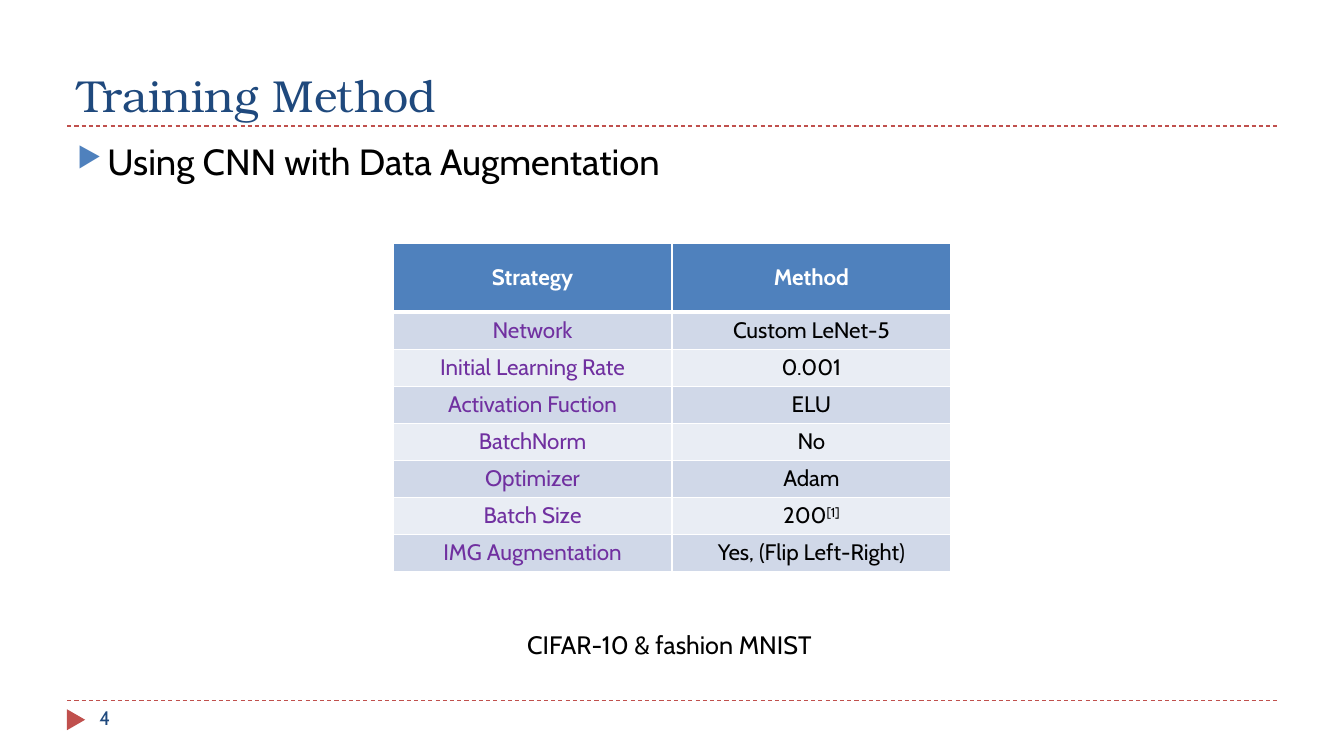
from lxml.etree import SubElement
from pptx import Presentation
from pptx.dml.color import RGBColor
from pptx.enum.dml import MSO_LINE
from pptx.enum.shapes import MSO_CONNECTOR, MSO_SHAPE
from pptx.enum.text import MSO_ANCHOR, PP_ALIGN
from pptx.oxml.ns import qn
from pptx.util import Pt

COLORS = {
    "accent": "C0504D", "heading": "1F497D", "header": "4F81BD",
    "text": "000000", "white": "FFFFFF", "strategy": "7030A0",
    "odd": "D0D8E8", "even": "E9EDF4",
}
HEADING_FONT, BODY_FONT = "TeX Gyre Bonum", "Cabin"
STRATEGIES = [
    ("Strategy", "Method"),
    ("Network", "Custom LeNet-5"),
    ("Initial Learning Rate", "0.001"),
    ("Activation Fuction", "ELU"),
    ("BatchNorm", "No"),
    ("Optimizer", "Adam"),
    ("Batch Size", "200"),
    ("IMG Augmentation", "Yes, (Flip Left-Right)"),
]
CITATION_ROW, CITATION = 6, "[1]"
HEADER_HEIGHT, ROW_HEIGHT, COLUMN_WIDTH = 49.6, 26.4, 199.2


def rgb(key):
    """Return the named colour."""
    return RGBColor.from_string(COLORS[key])


def style(paragraph, size, color, name=BODY_FONT, bold=False):
    """Set the font of a whole paragraph."""
    font = paragraph.font
    font.size, font.name, font.bold = Pt(size), name, bold
    font.color.rgb = rgb(color)


def add_text(slide, text, box, size, color, name=BODY_FONT,
             anchor=MSO_ANCHOR.TOP, wrap=True):
    """Add a one-paragraph text box and return its paragraph."""
    frame = slide.shapes.add_textbox(*map(Pt, box)).text_frame
    frame.word_wrap, frame.vertical_anchor = wrap, anchor
    paragraph = frame.paragraphs[0]
    paragraph.text = text
    style(paragraph, size, color, name)
    return paragraph


def add_bullet(paragraph, indent):
    """Give a paragraph a hanging triangle bullet."""
    paragraph.space_before = Pt(6)
    properties = paragraph._p.get_or_add_pPr()
    properties.set("marL", str(Pt(indent)))
    properties.set("indent", str(-Pt(indent)))
    color = SubElement(properties, qn("a:buClr"))
    SubElement(color, qn("a:srgbClr"), val=COLORS["header"])
    SubElement(properties, qn("a:buSzPct"), val="76000")
    SubElement(properties, qn("a:buChar"), char="\u25b6")
    properties.append(properties.find(qn("a:defRPr")))


def add_rule(slide, y):
    """Add a dashed rule across the slide."""
    rule = slide.shapes.add_connector(
        MSO_CONNECTOR.STRAIGHT, Pt(48), Pt(y), Pt(912), Pt(y))
    rule.line.color.rgb = rgb("accent")
    rule.line.width = Pt(0.75)
    rule.line.dash_style = MSO_LINE.DASH
    SubElement(rule._element.spPr, qn("a:effectLst"))


def add_page_marker(slide):
    """Add the triangle beside the page number."""
    marker = slide.shapes.add_shape(
        MSO_SHAPE.ISOSCELES_TRIANGLE, Pt(46.8), Pt(507.6), Pt(15), Pt(13))
    marker.rotation = 90
    marker.shadow.inherit = False
    marker.fill.solid()
    marker.fill.fore_color.rgb = rgb("accent")
    marker.line.fill.background()


def add_borders(cell, top, bottom):
    """Draw white borders around a cell."""
    properties = cell._tc.get_or_add_tcPr()
    for side, width in (("L", 1), ("R", 1), ("T", top), ("B", bottom)):
        border = SubElement(properties, qn(f"a:ln{side}"), w=str(Pt(width)))
        fill = SubElement(border, qn("a:solidFill"))
        SubElement(fill, qn("a:srgbClr"), val=COLORS["white"])


def fill_cell(cell, text, row, column):
    """Write and format one cell of the strategy table."""
    is_header = row == 0
    add_borders(cell, 3 if row == 1 else 1, 3 if is_header else 1)
    cell.fill.solid()
    band = "odd" if row % 2 else "even"
    cell.fill.fore_color.rgb = rgb("header" if is_header else band)
    cell.vertical_anchor = MSO_ANCHOR.MIDDLE
    paragraph = cell.text_frame.paragraphs[0]
    paragraph.text = text
    paragraph.alignment = PP_ALIGN.CENTER
    color = "white" if is_header else ("strategy", "text")[column]
    style(paragraph, 16, color, bold=is_header)


def add_strategy_table(slide):
    """Add the table of training strategies."""
    height = HEADER_HEIGHT + ROW_HEIGHT * (len(STRATEGIES) - 1)
    table = slide.shapes.add_table(
        len(STRATEGIES), 2, Pt(280.8), Pt(173.5),
        Pt(2 * COLUMN_WIDTH), Pt(height)).table
    for column in table.columns:
        column.width = Pt(COLUMN_WIDTH)
    for row, texts in enumerate(STRATEGIES):
        table.rows[row].height = Pt(ROW_HEIGHT if row else HEADER_HEIGHT)
        for column, text in enumerate(texts):
            fill_cell(table.cell(row, column), text, row, column)
    batch_size = table.cell(CITATION_ROW, 1).text_frame.paragraphs[0]
    citation = batch_size.add_run()
    citation.text = CITATION
    citation._r.get_or_add_rPr().set("baseline", "30000")


def main():
    """Build the training method slide."""
    deck = Presentation()
    deck.slide_width, deck.slide_height = Pt(960), Pt(540)
    slide = deck.slides.add_slide(deck.slide_layouts[6])
    for y in (500.4, 90):
        add_rule(slide, y)
    add_page_marker(slide)
    add_text(slide, "Training Method", (48, 12, 864, 78), 32, "heading",
             HEADING_FONT, MSO_ANCHOR.BOTTOM)
    topic = add_text(slide, "Using CNN with Data Augmentation",
                     (48, 96, 864, 389), 26, "text")
    add_bullet(topic, 21.6)
    add_text(slide, "4", (64, 500.4, 208, 29), 14, "heading")
    add_text(slide, "CIFAR-10 & fashion MNIST", (369.4, 445.7, 221.8, 29),
             18, "text", wrap=False)
    add_strategy_table(slide)
    deck.save("out.pptx")


main()
